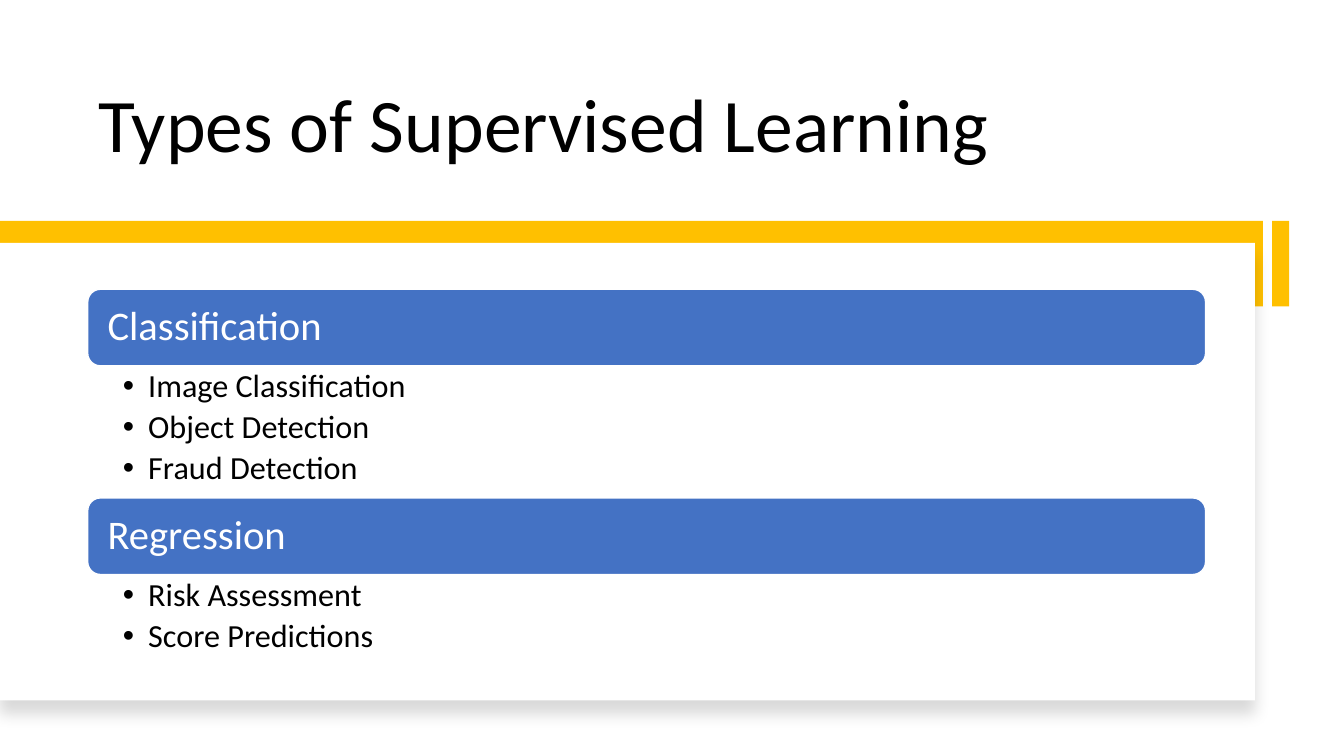
"""Builds a slide that lists the types of supervised learning with examples."""
from lxml.etree import SubElement
from pptx import Presentation
from pptx.dml.color import RGBColor
from pptx.enum.shapes import MSO_SHAPE
from pptx.enum.text import MSO_ANCHOR
from pptx.oxml.ns import qn
from pptx.util import Emu, Pt

TITLE = "Types of Supervised Learning"
SECTIONS = [
    ("Classification", ["Image Classification", "Object Detection", "Fraud Detection"]),
    ("Regression", ["Risk Assessment", "Score Predictions"]),
]

FONT = "Calibri"
BLACK, WHITE, GOLD, BLUE = "000000", "FFFFFF", "FFC000", "4472C4"

PX = 9144
TITLE_BOX = (88, 42, 1010, 130)
GOLD_BARS = [(1262, 219, 17, 85), (0, 219, 1253, 85)]
PANEL = (0, 241, 1245, 454)
LIST_LEFT, LIST_TOP, LIST_WIDTH = 87, 287, 1109
HEADING_HEIGHT = 76
BULLET_PITCH = 44
BULLET_INDENT = 25


def px(length):
    return Emu(length * PX)


def color(value):
    return RGBColor.from_string(value)


def add_box(slide, box, fill, kind=MSO_SHAPE.RECTANGLE, line=None):
    shape = slide.shapes.add_shape(kind, *map(px, box))
    shape.shadow.inherit = False
    shape.fill.solid()
    shape.fill.fore_color.rgb = color(fill)
    if line:
        shape.line.color.rgb = color(line)
        shape.line.width = Pt(1)
    else:
        shape.line.fill.background()
    return shape


def add_soft_shadow(shape):
    effects = shape._element.spPr.find(qn("a:effectLst"))
    shadow = SubElement(effects, qn("a:outerShdw"), blurRad=str(Pt(11)),
                        dist=str(Pt(10)), dir="5400000", algn="t", rotWithShape="0")
    tint = SubElement(shadow, qn("a:srgbClr"), val=BLACK)
    SubElement(tint, qn("a:alpha"), val="15000")


def add_bullet(paragraph):
    properties = paragraph._p.get_or_add_pPr()
    properties.set("marL", str(px(BULLET_INDENT)))
    properties.set("indent", str(-px(BULLET_INDENT)))
    SubElement(properties, qn("a:buFont"), typeface="Arial")
    SubElement(properties, qn("a:buChar"), char="•")


def write(shape, text, size, ink=BLACK, anchor=MSO_ANCHOR.TOP,
          insets=(10, 5, 10, 5), space_after=0, bullet=False):
    frame = shape.text_frame
    frame.word_wrap = True
    frame.vertical_anchor = anchor
    (frame.margin_left, frame.margin_top,
     frame.margin_right, frame.margin_bottom) = map(px, insets)
    frame.text = text
    for paragraph in frame.paragraphs:
        paragraph.alignment = 1
        paragraph.line_spacing = 0.9
        paragraph.space_after = Pt(space_after)
        if bullet:
            add_bullet(paragraph)
        font = paragraph.runs[0].font
        font.name, font.size, font.color.rgb = FONT, Pt(size), color(ink)


def add_text(slide, box, text, **text_format):
    write(slide.shapes.add_textbox(*map(px, box)), text, **text_format)


def main():
    presentation = Presentation()
    presentation.slide_width, presentation.slide_height = Emu(12192000), Emu(6858000)
    slide = presentation.slides.add_slide(presentation.slide_layouts[6])

    add_text(slide, TITLE_BOX, TITLE, size=54, anchor=MSO_ANCHOR.BOTTOM)
    for bar in GOLD_BARS:
        add_box(slide, bar, GOLD)
    add_soft_shadow(add_box(slide, PANEL, WHITE))

    top = LIST_TOP
    for heading, examples in SECTIONS:
        banner = add_box(slide, (LIST_LEFT, top, LIST_WIDTH, HEADING_HEIGHT), BLUE,
                         kind=MSO_SHAPE.ROUNDED_RECTANGLE, line=WHITE)
        write(banner, heading, size=29, ink=WHITE, anchor=MSO_ANCHOR.MIDDLE,
              insets=(16, 12, 16, 12))
        top += HEADING_HEIGHT
        height = BULLET_PITCH * len(examples) - 1
        add_text(slide, (LIST_LEFT, top, LIST_WIDTH, height), "\n".join(examples),
                 size=23, insets=(35, 4, 23, 4), space_after=4.4, bullet=True)
        top += height

    presentation.save("out.pptx")


if __name__ == "__main__":
    main()
